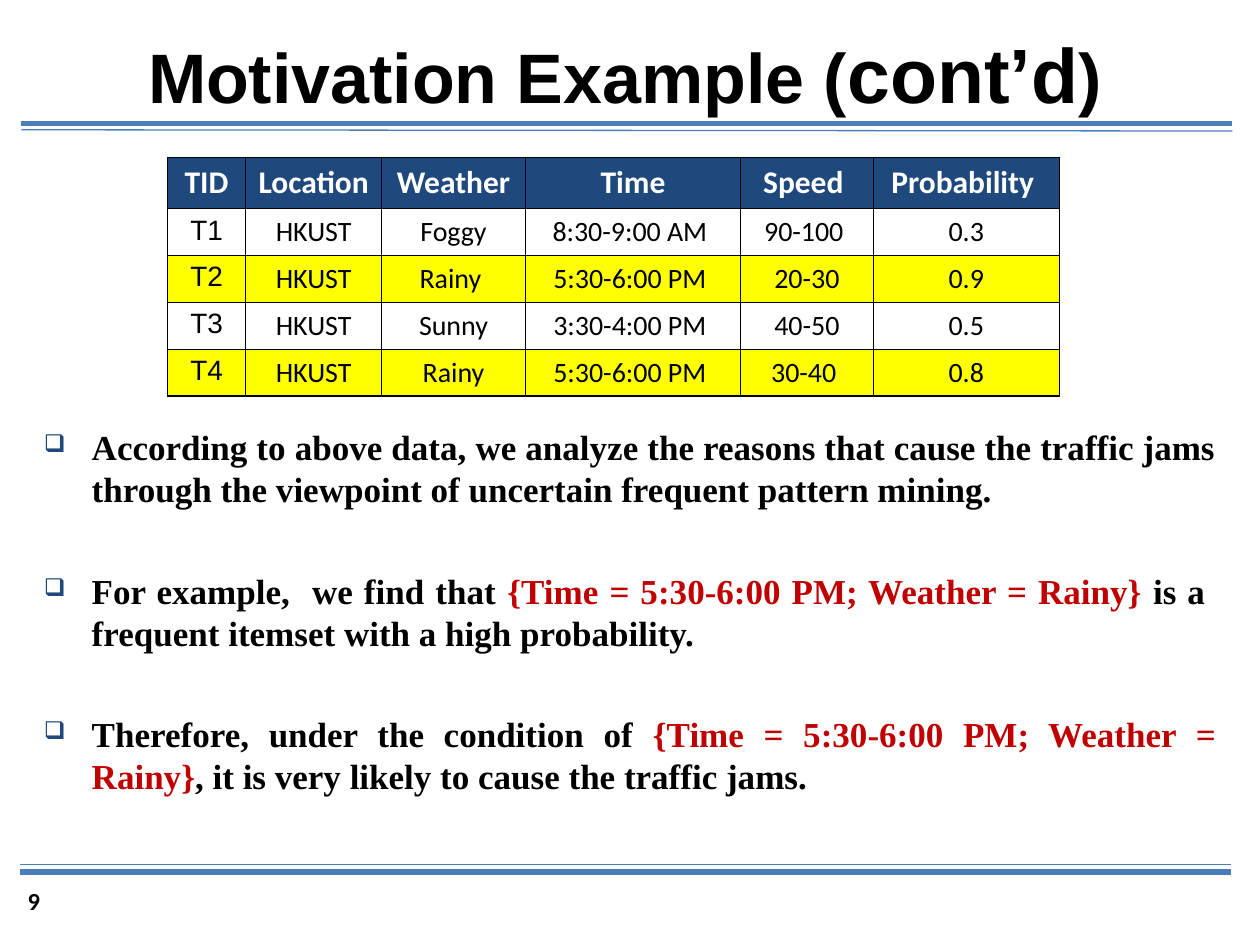
from lxml import etree
from pptx import Presentation
from pptx.dml.color import RGBColor
from pptx.enum.shapes import MSO_CONNECTOR
from pptx.enum.text import MSO_ANCHOR, MSO_AUTO_SIZE, PP_ALIGN
from pptx.oxml.ns import qn
from pptx.util import Inches, Pt

STRAIGHT = MSO_CONNECTOR.STRAIGHT
MIDDLE = MSO_ANCHOR.MIDDLE
NO_AUTOFIT = MSO_AUTO_SIZE.NONE
CENTER, JUSTIFY, LEFT = PP_ALIGN.CENTER, PP_ALIGN.JUSTIFY, PP_ALIGN.LEFT

THEME = {
    "ink": "000000", "white": "FFFFFF", "navy": "1F497D",
    "rule": "4A7EBB", "accent": "C00000", "highlight": "FFFF00",
    "heading_font": "Arial", "table_font": "Calibri", "body_font": "Times New Roman",
    "title": 40, "title_large": 44, "body": 20, "body_line": 24, "body_gap": 34,
    "header": 18, "cell": 16, "page": 14,
    "thick": 3, "thin": 0.75, "outer": 1.08, "inner": 0.45,
}

TITLE = [("Motivation Example (", "title"), ("cont’d", "title_large"), (")", "title")]
PAGE_NUMBER = "9"
RULES = [
    (0.17, 0.98, 9.78, 0.98, "thick"),
    (0.17, 1.03, 9.78, 1.04, "thin"),
    (0.16, 6.92, 9.77, 6.92, "thick"),
    (0.16, 6.86, 9.77, 6.86, "thin"),
]
READINGS = [
    ["TID", "Location ", "Weather", "Time", "Speed ", "Probability "],
    ["T1", "HKUST", "Foggy", "8:30-9:00 AM ", "90-100 ", "0.3"],
    ["T2", "HKUST", "Rainy ", "5:30-6:00 PM ", "20-30", "0.9"],
    ["T3", "HKUST", "Sunny", "3:30-4:00 PM ", "40-50", "0.5"],
    ["T4", "HKUST", "Rainy", "5:30-6:00 PM ", "30-40 ", "0.8"],
]
FREQUENT_ROWS = {2, 4}
COLUMN_WIDTHS = [0.62, 1.08, 1.14, 1.71, 1.05, 1.48]
ROW_HEIGHTS = [0.4] + [0.37] * 4
ITEMSET = ("{Time = 5:30-6:00 PM; Weather = Rainy}", "accent")
POINTS = [
    [("According to above data, we analyze the reasons that cause the traffic jams "
      "through the viewpoint of uncertain frequent pattern mining.", "ink")],
    [("For example,  we find that ", "ink"), ITEMSET,
     (" is a  frequent itemset with a high probability.", "ink")],
    [("Therefore, under the condition of ", "ink"), ITEMSET,
     (", it is very likely to cause the traffic jams.", "ink")],
]


def color(key):
    return RGBColor.from_string(THEME[key])


def add_run(paragraph, text, font, size, ink="ink", bold=True):
    run = paragraph.add_run()
    run.text = text
    run.font.name = THEME[font]
    run.font.size = Pt(THEME[size])
    run.font.bold = bold
    run.font.color.rgb = color(ink)


def add_rule(slide, x1, y1, x2, y2, weight):
    rule = slide.shapes.add_connector(
        STRAIGHT, Inches(x1), Inches(y1), Inches(x2), Inches(y2))
    rule.line.color.rgb = color("rule")
    rule.line.width = Pt(THEME[weight])
    etree.SubElement(rule.element.spPr, qn("a:effectLst"))


def add_text_frame(slide, left, top, width, height):
    frame = slide.shapes.add_textbox(
        Inches(left), Inches(top), Inches(width), Inches(height)).text_frame
    frame.word_wrap = True
    return frame


def set_border(cell, side, weight):
    line = etree.SubElement(cell._tc.get_or_add_tcPr(), qn(f"a:ln{side}"),
                            w=str(Pt(THEME[weight])))
    fill = etree.SubElement(line, qn("a:solidFill"))
    etree.SubElement(fill, qn("a:srgbClr"), val=THEME["ink"])


def add_bullet(paragraph):
    props = paragraph._p.get_or_add_pPr()
    props.set("marL", str(Inches(0.38)))
    props.set("indent", str(-Inches(0.38)))
    bullet_color = etree.SubElement(props, qn("a:buClr"))
    etree.SubElement(bullet_color, qn("a:srgbClr"), val=THEME["navy"])
    etree.SubElement(props, qn("a:buSzPct"), val="70000")
    etree.SubElement(props, qn("a:buChar"), char="❑")


def add_title(slide):
    title = slide.shapes.title
    title.left, title.top = Inches(0.83), Inches(0.18)
    title.width, title.height = Inches(8.26), Inches(0.79)
    frame = title.text_frame
    frame.auto_size = NO_AUTOFIT
    frame.vertical_anchor = MIDDLE
    heading = frame.paragraphs[0]
    heading.alignment = CENTER
    for text, size in TITLE:
        add_run(heading, text, "heading_font", size)


def add_readings(slide):
    last_row, last_col = len(READINGS) - 1, len(COLUMN_WIDTHS) - 1
    table = slide.shapes.add_table(
        len(READINGS), len(COLUMN_WIDTHS), Inches(1.33), Inches(1.25),
        Inches(sum(COLUMN_WIDTHS)), Inches(sum(ROW_HEIGHTS))).table
    table.first_row = table.horz_banding = False
    for column, width in zip(table.columns, COLUMN_WIDTHS):
        column.width = Inches(width)
    for r, (row, height) in enumerate(zip(READINGS, ROW_HEIGHTS)):
        table.rows[r].height = Inches(height)
        header = r == 0
        for c, text in enumerate(row):
            cell = table.cell(r, c)
            edges = {"L": c == 0, "R": c == last_col, "T": header, "B": r == last_row}
            for side, outside in edges.items():
                set_border(cell, side, "outer" if outside else "inner")
            if header or r in FREQUENT_ROWS:
                cell.fill.solid()
                cell.fill.fore_color.rgb = color("navy" if header else "highlight")
            else:
                cell.fill.background()
            cell.margin_left = cell.margin_right = Inches(0.1)
            cell.margin_top = cell.margin_bottom = Inches(0.05)
            paragraph = cell.text_frame.paragraphs[0]
            paragraph.alignment = CENTER
            font = "heading_font" if c == 0 and not header else "table_font"
            add_run(paragraph, text, font, "header" if header else "cell",
                    "white" if header else "ink", header)


def add_points(slide):
    frame = add_text_frame(slide, 0.25, 3.33, 9.5, 3.42)
    for i, point in enumerate(POINTS):
        paragraph = frame.add_paragraph() if i else frame.paragraphs[0]
        paragraph.alignment = JUSTIFY
        paragraph.line_spacing = Pt(THEME["body_line"])
        if i:
            paragraph.space_before = Pt(THEME["body_gap"])
        add_bullet(paragraph)
        for text, ink in point:
            add_run(paragraph, text, "body_font", "body", ink)


def main():
    deck = Presentation()
    deck.slide_width, deck.slide_height = Inches(10), Inches(7.5)
    slide = deck.slides.add_slide(deck.slide_layouts[5])
    for rule in RULES:
        add_rule(slide, *rule)
    add_title(slide)
    add_readings(slide)
    add_points(slide)
    page = add_text_frame(slide, 0.12, 6.98, 1.02, 0.4).paragraphs[0]
    page.alignment = LEFT
    add_run(page, PAGE_NUMBER, "table_font", "page")
    deck.save("out.pptx")


if __name__ == "__main__":
    main()
